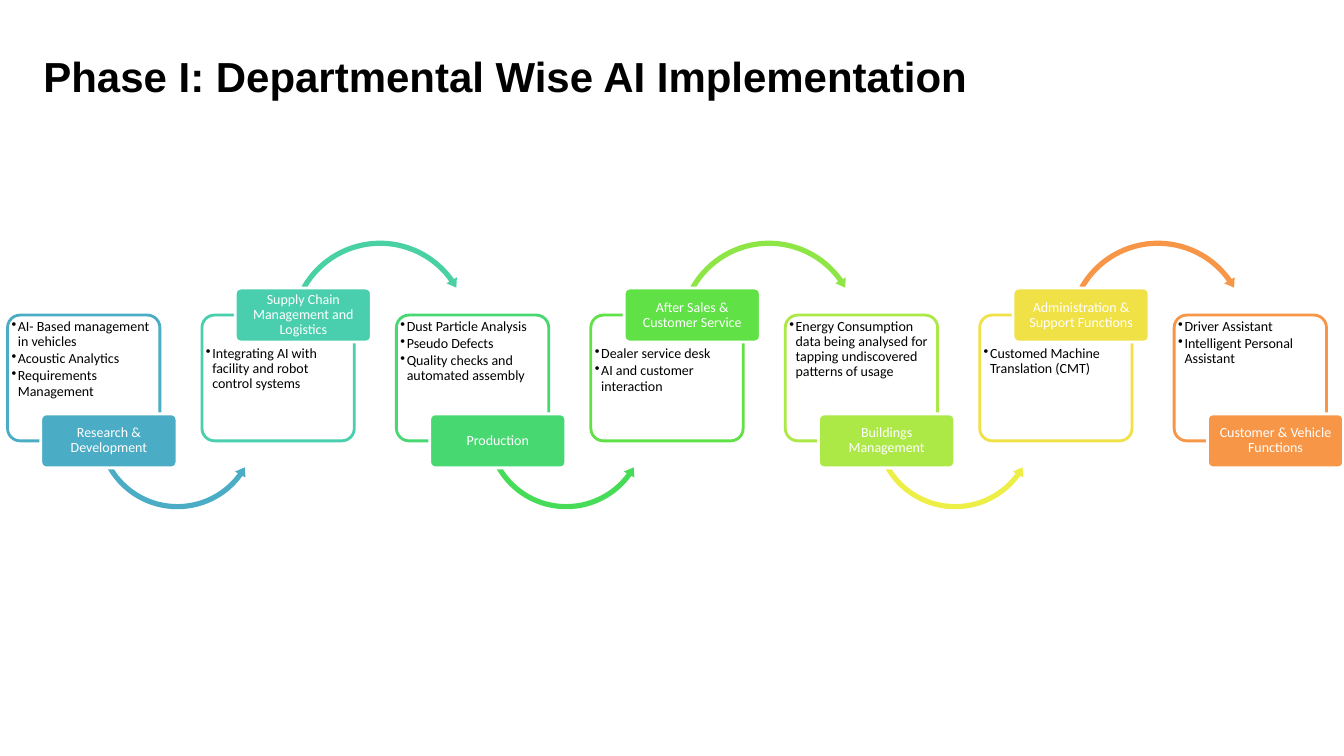
from lxml.etree import SubElement
from pptx import Presentation
from pptx.dml.color import RGBColor
from pptx.enum.shapes import MSO_SHAPE
from pptx.enum.text import MSO_ANCHOR, PP_ALIGN
from pptx.oxml.ns import qn
from pptx.util import Cm, Pt

COLORS = {
    "black": "000000",
    "white": "FFFFFF",
    "blue": "4BACC6",
    "teal": "49CFAE",
    "teal_arrow": "49D1A3",
    "green": "47D872",
    "green_arrow": "47DC57",
    "leaf": "60E146",
    "leaf_arrow": "8DE646",
    "lime": "ACE946",
    "yellow_arrow": "EEEF46",
    "yellow": "F0E146",
    "orange": "F79646",
}

STAGES = [
    ("Research & Development", "blue", "blue",
     ["AI- Based management in vehicles", "Acoustic Analytics", "Requirements Management"]),
    ("Supply Chain Management and Logistics", "teal", "teal_arrow",
     ["Integrating AI with facility and robot control systems"]),
    ("Production", "green", "green_arrow",
     ["Dust Particle Analysis", "Pseudo Defects", "Quality checks and automated assembly"]),
    ("After Sales & Customer Service", "leaf", "leaf_arrow",
     ["Dealer service desk", "AI and customer interaction"]),
    ("Buildings Management", "lime", "yellow_arrow",
     ["Energy Consumption data being analysed for tapping undiscovered patterns of usage"]),
    ("Administration & Support Functions", "yellow", "orange",
     ["Customed Machine Translation (CMT)"]),
    ("Customer & Vehicle Functions", "orange", None,
     ["Driver Assistant", "Intelligent Personal Assistant"]),
]

STAGE_PITCH = 4.9
PANEL_WIDTH, PANEL_HEIGHT = 3.84, 3.17
LABEL_WIDTH, LABEL_HEIGHT, LABEL_OFFSET = 3.43, 1.36, 0.84

LOWER_ARROW = {
    "preset": MSO_SHAPE.LEFT_CIRCULAR_ARROW,
    "offset": (2.17, 0.76),
    "size": 4.22,
    "adjustments": (0.031, 3.819, 21.575, 90.245, 0.036),
}
UPPER_ARROW = {
    "preset": MSO_SHAPE.CIRCULAR_ARROW,
    "offset": (2.13, -1.96),
    "size": 4.72,
    "adjustments": (0.028, 3.395, 194.85, 125.755, 0.032),
}
TITLE_FONT = {"name": "Arial", "size": Pt(30), "bold": True}
BODY_FONT = {"name": "Calibri", "size": Pt(10), "bold": False}
PANEL_FRAME = {
    "word_wrap": True,
    "vertical_anchor": MSO_ANCHOR.TOP,
    "margin_left": Cm(0.01),
    "margin_right": Cm(0.01),
    "margin_bottom": Cm(0.01),
}
LABEL_FRAME = {
    "word_wrap": True,
    "vertical_anchor": MSO_ANCHOR.MIDDLE,
    "margin_left": Cm(0.05),
    "margin_right": Cm(0.05),
    "margin_top": Cm(0.03),
    "margin_bottom": Cm(0.03),
}
PANEL_PARAGRAPH = {
    "level": 1,
    "alignment": PP_ALIGN.LEFT,
    "line_spacing": 0.9,
    "space_before": Pt(0),
    "space_after": Pt(1.5),
}
LABEL_PARAGRAPH = {"alignment": PP_ALIGN.CENTER, "line_spacing": 0.9}


def color(name):
    return RGBColor.from_string(COLORS[name])


def apply(target, values):
    for name, value in values.items():
        setattr(target, name, value)


def write(paragraph, text, font, color_name):
    run = paragraph.add_run()
    run.text = text
    apply(run.font, font)
    run.font.color.rgb = color(color_name)


def add_shape(slide, preset, box, fill, line, adjustments):
    shape = slide.shapes.add_shape(preset, *[Cm(length) for length in box])
    shape.shadow.inherit = False
    shape.fill.solid()
    shape.fill.fore_color.rgb = color(fill)
    if line:
        shape.line.color.rgb = color(line)
        shape.line.width = Pt(2)
    else:
        shape.line.fill.background()
    for index, value in enumerate(adjustments):
        shape.adjustments[index] = value
    return shape


def add_bullet(paragraph):
    properties = paragraph._p.get_or_add_pPr()
    properties.set("marL", str(Cm(0.16)))
    properties.set("indent", str(-Cm(0.16)))
    SubElement(properties, qn("a:buChar"), char="•")


def add_title(slide, box):
    title = slide.shapes.title
    title.left, title.top, title.width, title.height = [Cm(length) for length in box]
    title.text_frame.word_wrap = True
    title.text_frame.vertical_anchor = MSO_ANCHOR.MIDDLE
    paragraph = title.text_frame.paragraphs[0]
    paragraph.alignment = PP_ALIGN.LEFT
    write(paragraph, "Phase I: Departmental Wise AI Implementation", TITLE_FONT, "black")


def add_panel(slide, box, color_name, items, text_top):
    panel = add_shape(slide, MSO_SHAPE.ROUNDED_RECTANGLE, box, "white", color_name, [0.1])
    fill_color = panel._element.spPr.find(qn("a:solidFill")).find(qn("a:srgbClr"))
    SubElement(fill_color, qn("a:alpha"), val="90000")
    frame = panel.text_frame
    apply(frame, PANEL_FRAME)
    frame.margin_top = Cm(text_top)
    for index, item in enumerate(items):
        paragraph = frame.add_paragraph() if index else frame.paragraphs[0]
        apply(paragraph, PANEL_PARAGRAPH)
        add_bullet(paragraph)
        write(paragraph, item, BODY_FONT, "black")


def add_label(slide, box, color_name, text):
    label = add_shape(slide, MSO_SHAPE.ROUNDED_RECTANGLE, box, color_name, "white", [0.1])
    apply(label.text_frame, LABEL_FRAME)
    paragraph = label.text_frame.paragraphs[0]
    apply(paragraph, LABEL_PARAGRAPH)
    write(paragraph, text, BODY_FONT, "white")


def add_stage(slide, left, top, stage, label_above):
    name, color_name, arrow_color, items = stage
    panel_box = (left, top, PANEL_WIDTH, PANEL_HEIGHT)
    add_panel(slide, panel_box, color_name, items, 0.7 if label_above else 0.01)
    if arrow_color:
        arrow = UPPER_ARROW if label_above else LOWER_ARROW
        across, down = arrow["offset"]
        arrow_box = (left + across, top + down, arrow["size"], arrow["size"])
        add_shape(slide, arrow["preset"], arrow_box, arrow_color, None, arrow["adjustments"])
    edge = top if label_above else top + PANEL_HEIGHT
    label_box = (left + LABEL_OFFSET, edge - LABEL_HEIGHT / 2, LABEL_WIDTH, LABEL_HEIGHT)
    add_label(slide, label_box, color_name, name)


def add_process(slide, left, top):
    for index, stage in enumerate(STAGES):
        add_stage(slide, left + index * STAGE_PITCH, top, stage, index % 2 == 1)


def main():
    presentation = Presentation()
    presentation.slide_width = Cm(33.87)
    presentation.slide_height = Cm(19.05)
    slide = presentation.slides.add_slide(presentation.slide_layouts[5])
    add_title(slide, (0.84, 1.17, 27.05, 1.5))
    add_process(slide, 0.19, 7.94)
    presentation.save("out.pptx")


if __name__ == "__main__":
    main()
